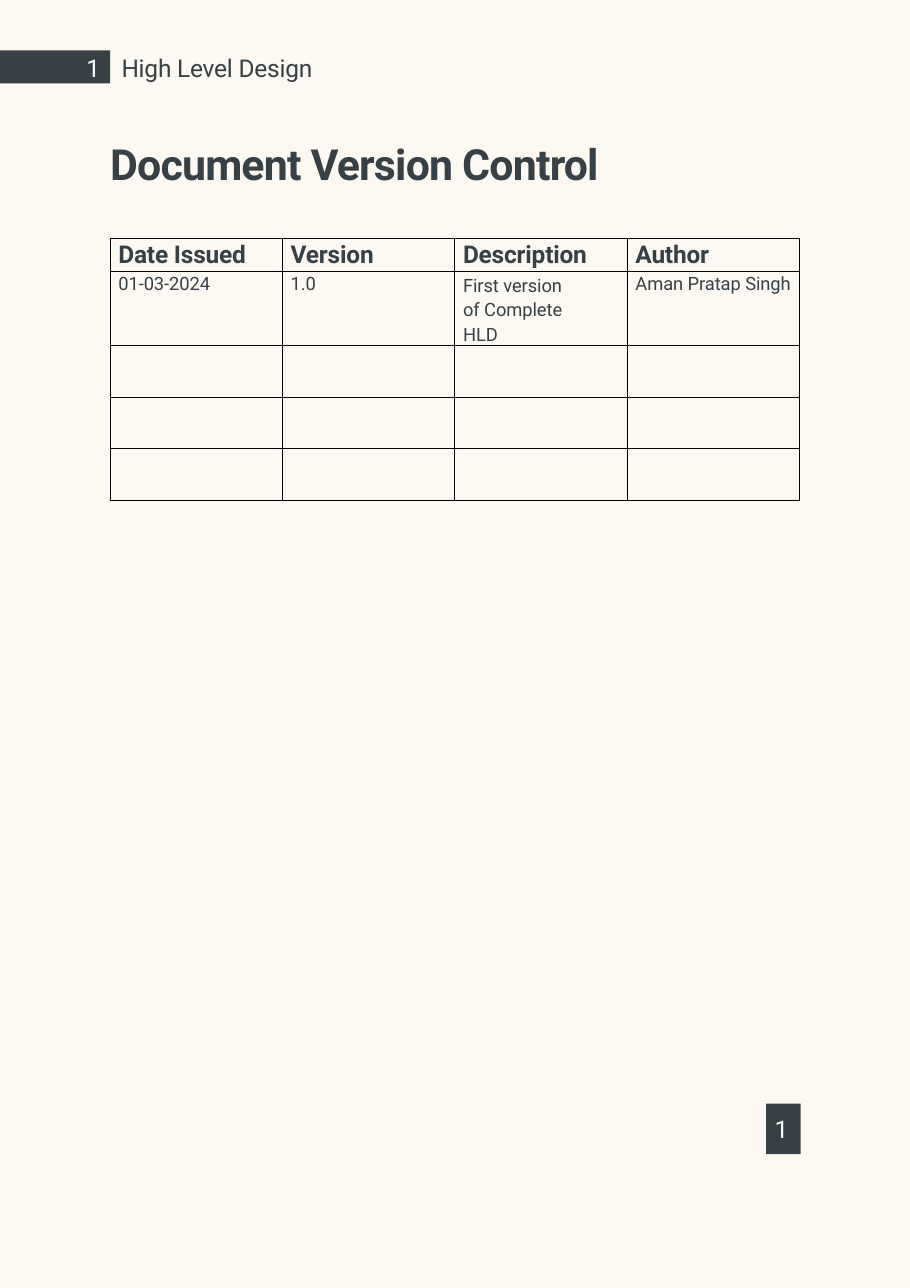
from lxml import etree
from pptx import Presentation
from pptx.dml.color import RGBColor
from pptx.enum.shapes import MSO_SHAPE
from pptx.oxml.ns import qn
from pptx.util import Pt

RECT = MSO_SHAPE.RECTANGLE
FONT = "Roboto"
CREAM, SLATE, WHITE, BLACK = "FBF9F1", "374045", "FFFFFF", "000000"


def paint(fill, color):
    fill.solid()
    fill.fore_color.rgb = RGBColor.from_string(color)


def write(frame, text, color, size, indent, before, bold=False, track=-10):
    """Fill the first paragraph with one styled run."""
    para = frame.paragraphs[0]
    para.space_before = Pt(before)
    props = para._p.get_or_add_pPr()
    props.set("marL", str(Pt(indent)))
    props.set("indent", "0")
    run = para.add_run()
    run.text = text
    run.font.name, run.font.size, run.font.bold = FONT, Pt(size), bold
    paint(run.font.fill, color)
    run._r.get_or_add_rPr().set("spc", str(track))
    return para


deck = Presentation()
deck.slide_width, deck.slide_height = Pt(595), Pt(842)
slide = deck.slides.add_slide(deck.slide_layouts[6])
paint(slide.background.fill, CREAM)

# Dark blocks behind the page numbers
for left, top, width, height in [(501, 721.5, 22.5, 33), (0, 33, 72, 21.5)]:
    block = slide.shapes.add_shape(RECT, Pt(left), Pt(top), Pt(width), Pt(height))
    block.shadow.inherit = False
    paint(block.fill, SLATE)
    block.line.fill.background()

# Header number and name, footer number, title
labels = [
    ((55.5, 34, 16, 21), 0.7, "1", WHITE, 16, 1, 0.9),
    ((78.5, 34, 150, 21), 0.7, "High Level Design", SLATE, 16, 1, 0.9),
    ((503.5, 726.5, 19, 23), 2, "1", WHITE, 16, 3, 2.2),
    ((71, 89, 360, 35), 0.9, "Document Version Control", SLATE,
     28, 1, 0.9, True, -50),
]
for place, inset, *style in labels:
    box = slide.shapes.add_textbox(*(Pt(n) for n in place))
    frame = box.text_frame
    frame.word_wrap = True
    frame.margin_left = frame.margin_right = frame.margin_bottom = 0
    frame.margin_top = Pt(inset)
    write(frame, *style)

# Version table
rows = [
    ["Date Issued", "Version", "Description", "Author"],
    ["01-03-2024", "1.0", "First version of Complete HLD", "Aman Pratap Singh"],
    [""] * 4, [""] * 4, [""] * 4,
]
heights = [21.5, 40.3, 33.7, 33.7, 33.7]
table = slide.shapes.add_table(
    len(rows), 4, Pt(72), Pt(156), Pt(450.8), Pt(sum(heights))).table
for col in table.columns:
    col.width = Pt(112.7)
for r, texts in enumerate(rows):
    table.rows[r].height = Pt(heights[r])
    for c, text in enumerate(texts):
        cell = table.cell(r, c)
        cell.margin_left = cell.margin_right = cell.margin_bottom = 0
        cell.margin_top = Pt(1.4)
        if text:
            head = r == 0
            para = write(cell.text_frame, text, SLATE, 16 if head else 12,
                         5.4, 1.5 if head else 1.2, head, -10 if head else -5)
            if text.startswith("First"):
                para.line_spacing = Pt(16)
                para.space_before = Pt(0.4)
                cell.margin_top = Pt(0.4)
                cell.margin_right = Pt(36)
        # Thin black borders, then the fill
        props = cell._tc.get_or_add_tcPr()
        for side in ("lnL", "lnR", "lnT", "lnB"):
            line = etree.SubElement(props, qn("a:" + side), w=str(Pt(0.5)))
            solid = etree.SubElement(line, qn("a:solidFill"))
            etree.SubElement(solid, qn("a:srgbClr"), val=BLACK)
        paint(cell.fill, CREAM)

deck.save("out.pptx")
